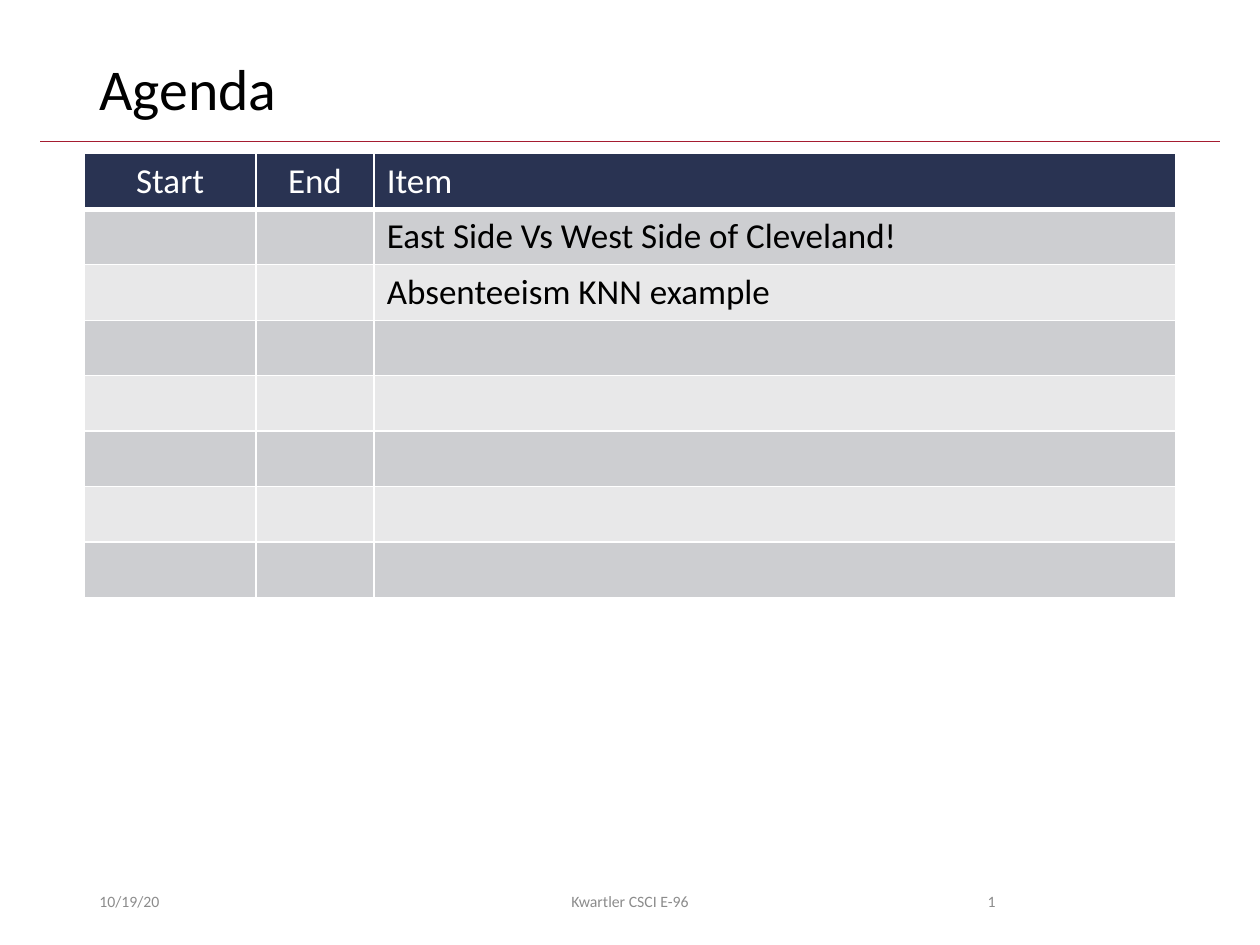
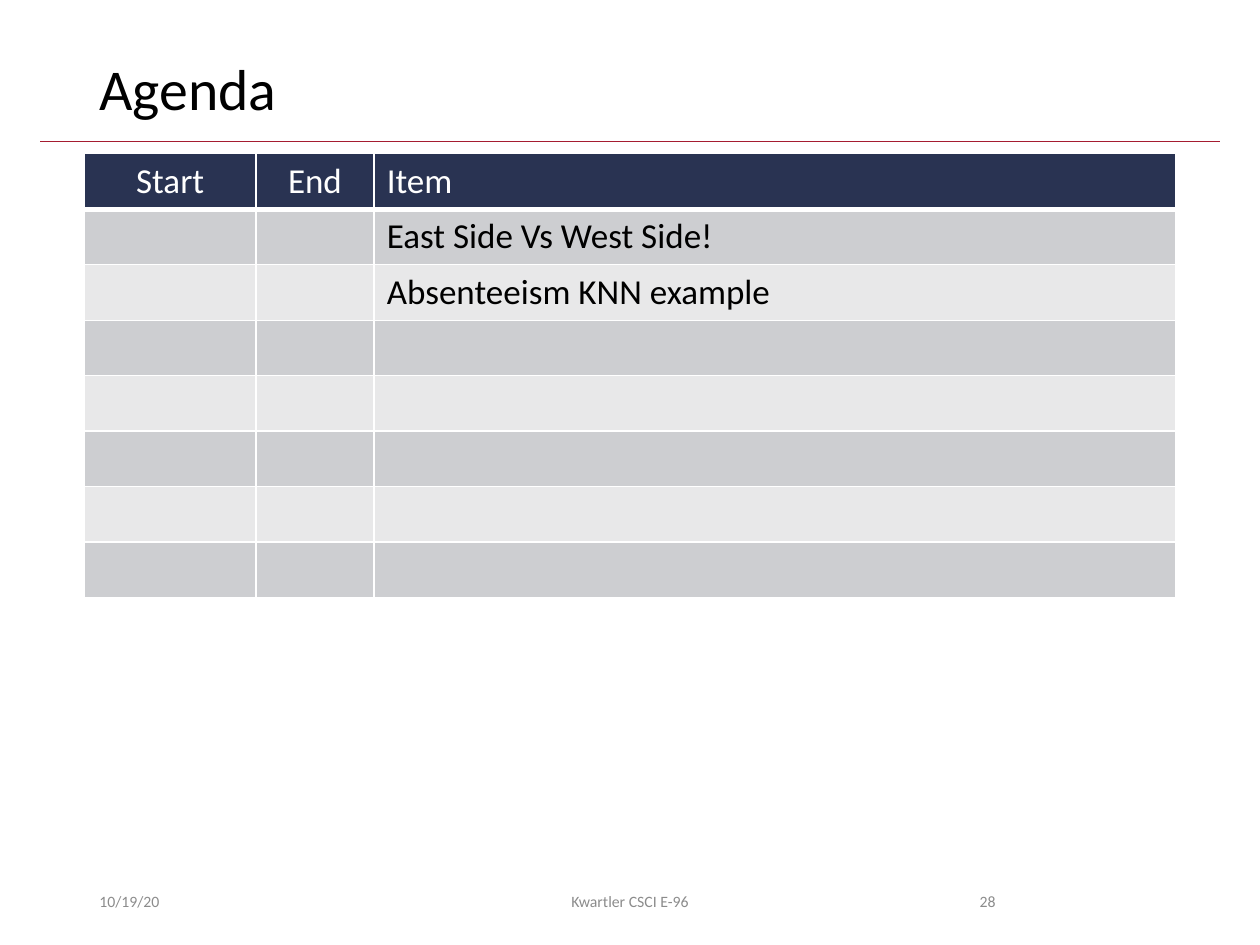
"""Build two agenda slides, each with a schedule table and a footer."""
from lxml.etree import SubElement
from pptx import Presentation
from pptx.dml.color import RGBColor
from pptx.enum.shapes import MSO_CONNECTOR
from pptx.enum.text import MSO_ANCHOR, MSO_AUTO_SIZE, PP_ALIGN
from pptx.oxml.ns import qn
from pptx.util import Inches, Pt

COLORS = {"rule": "A51C30", "header": "293352", "odd": "CDCED1", "even": "E8E8E9",
          "white": "FFFFFF", "black": "000000", "footer": "8C8C8C"}
LEFT, CENTER, RIGHT = PP_ALIGN.LEFT, PP_ALIGN.CENTER, PP_ALIGN.RIGHT
COLUMNS = [("Start", 1.36, CENTER), ("End", 0.94, CENTER), ("Item", 6.36, LEFT)]
ROWS, ROW_HEIGHT = 8, 0.44
AGENDAS = [
    ("1", ["East Side Vs West Side of Cleveland!", "Absenteeism KNN example"]),
    ("28", ["East Side Vs West Side!", "Absenteeism KNN example"]),
]


def write(tf, text, size=20, color="black", align=LEFT, spacing=None):
    tf.word_wrap = True
    p = tf.paragraphs[0]
    p.alignment = align
    p.line_spacing = spacing
    r = p.add_run()
    r.text = text
    r.font.name = "Calibri"
    r.font.size = Pt(size)
    r.font.color.rgb = RGBColor.from_string(COLORS[color])


def format_cell(cell, fill, bottom):
    tcPr = cell._tc.get_or_add_tcPr()
    for side, width in [("L", 1), ("R", 1), ("T", 1), ("B", bottom)]:
        ln = SubElement(tcPr, qn(f"a:ln{side}"), w=str(Pt(width)))
        SubElement(SubElement(ln, qn("a:solidFill")), qn("a:srgbClr"), val=COLORS["white"])
    cell.fill.solid()
    cell.fill.fore_color.rgb = RGBColor.from_string(COLORS[fill])


prs = Presentation()
prs.slide_width, prs.slide_height = Inches(10), Inches(7.5)

for number, items in AGENDAS:
    s = prs.slides.add_slide(prs.slide_layouts[5])

    rule = s.shapes.add_connector(MSO_CONNECTOR.STRAIGHT, Inches(0.32), Inches(1.12),
                                  Inches(9.68), Inches(1.12))
    rule.line.color.rgb = RGBColor.from_string(COLORS["rule"])
    rule.line.width = Pt(0.5)
    SubElement(rule._element.spPr, qn("a:effectLst"))

    title = s.shapes.title
    title.left, title.top = Inches(0.69), Inches(0.4)
    title.width, title.height = Inches(8.62), Inches(0.65)
    title.text_frame.auto_size = MSO_AUTO_SIZE.NONE
    title.text_frame.vertical_anchor = MSO_ANCHOR.MIDDLE
    write(title.text_frame, "Agenda", size=33, spacing=0.9)

    table = s.shapes.add_table(ROWS, len(COLUMNS), Inches(0.67), Inches(1.22),
                               Inches(8.66), Inches(ROWS * ROW_HEIGHT)).table
    for col, (heading, width, align) in enumerate(COLUMNS):
        table.columns[col].width = Inches(width)
        for row in range(ROWS):
            fill = "header" if row == 0 else "odd" if row % 2 else "even"
            format_cell(table.cell(row, col), fill, bottom=1 if row else 3)
        write(table.cell(0, col).text_frame, heading, color="white", align=align)
    for row, item in enumerate(items, start=1):
        write(table.cell(row, 2).text_frame, item)

    for left, width, text, align in [(0.69, 2.25, "10/19/20", LEFT),
                                     (3.31, 3.38, "Kwartler CSCI E-96", CENTER),
                                     (7.06, 0.94, number, RIGHT)]:
        sp = s.shapes.add_textbox(Inches(left), Inches(6.95), Inches(width), Inches(0.4))
        sp.text_frame.vertical_anchor = MSO_ANCHOR.MIDDLE
        write(sp.text_frame, text, size=9, color="footer", align=align)

prs.save("out.pptx")
